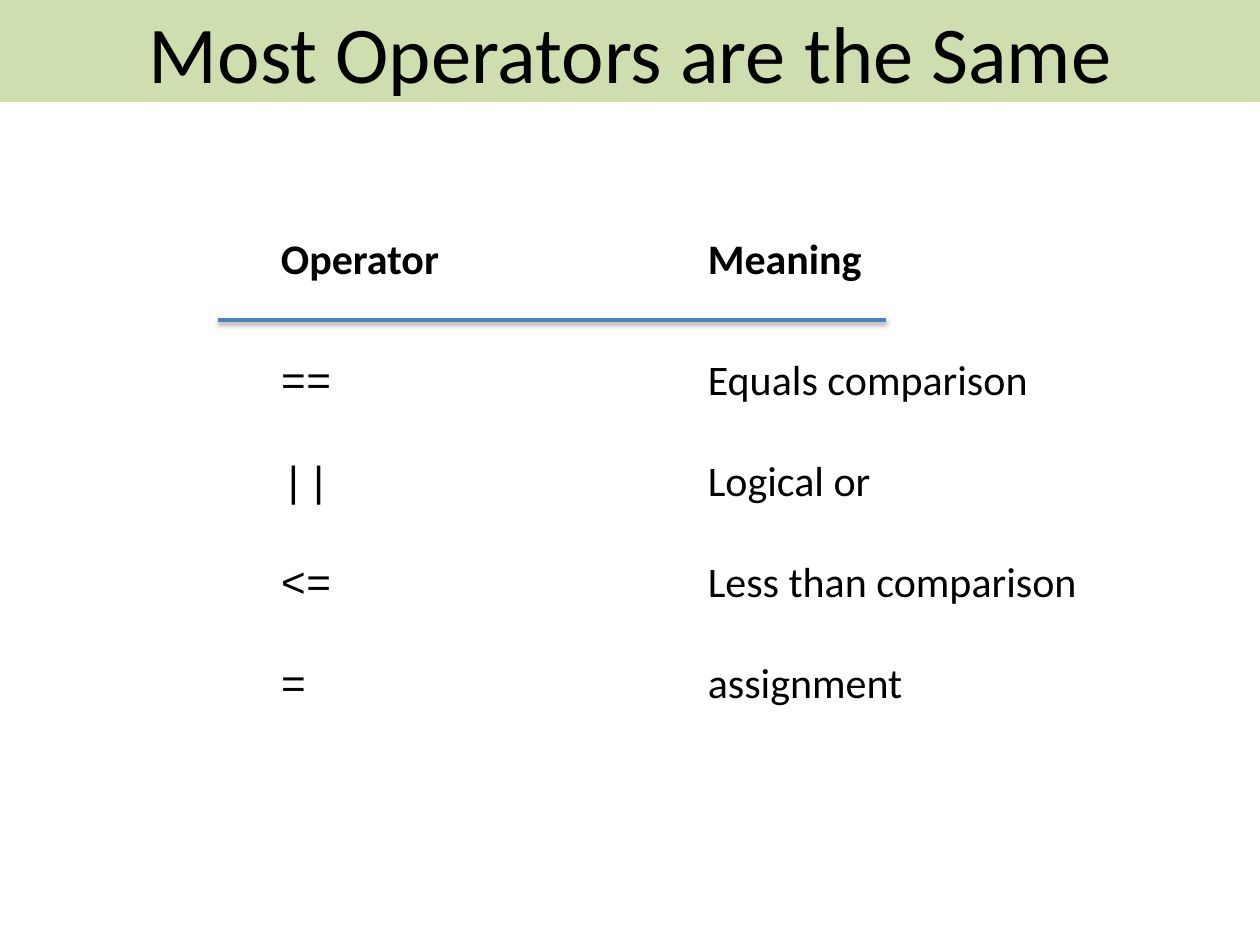
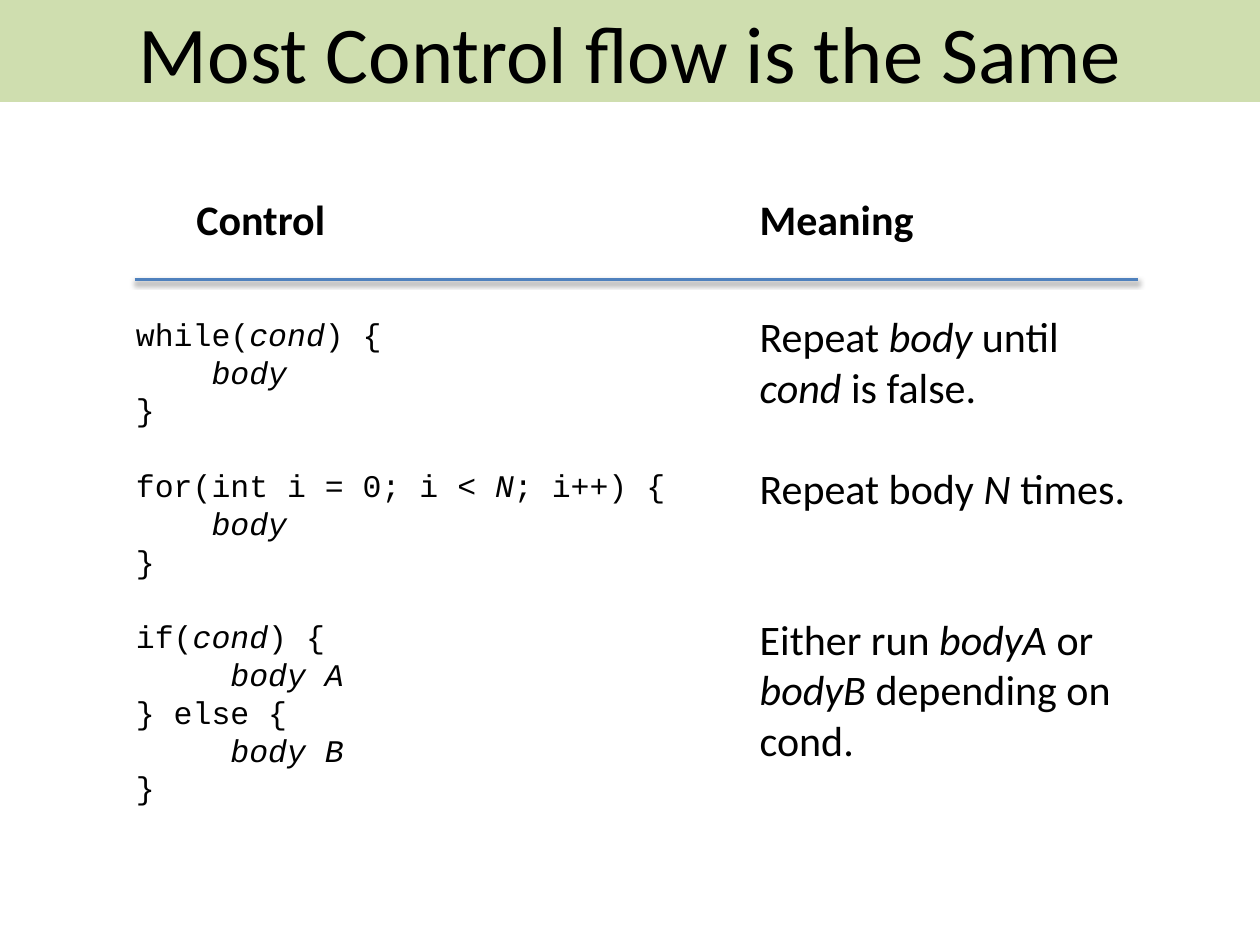
"""Build two slides comparing operators and control flow that stay the same."""
from lxml.etree import SubElement
from pptx import Presentation
from pptx.dml.color import RGBColor
from pptx.enum.shapes import MSO_CONNECTOR as Line, MSO_SHAPE as Shape
from pptx.enum.text import MSO_ANCHOR as Anchor, PP_ALIGN as Align
from pptx.oxml.ns import qn
from pptx.util import Pt

COLOURS = {"band": "C3D69B", "rule": "4F81BD", "ink": "000000"}
SLIDE_SIZE = (720, 540)
BAND_HEIGHT = 58.3
LEADING = 1.2
ROW_HEIGHT = 36
HEADING = {"name": "Calibri", "size": Pt(24), "bold": True}
PROSE = {"name": "Calibri", "size": Pt(24)}
SYMBOL = {"name": "Courier New", "size": Pt(24)}
CODE = {"name": "Courier New", "size": Pt(18)}
TITLE = {"name": "Calibri", "size": Pt(46)}

# Asterisks enclose italics; each block is (blank lines above, text).
SLIDES = [
    {
        "title": "Most Operators are the Same",
        "heading_top": 129.6,
        "rule": (124.6, 506.2, 182.9),
        "columns": [
            {"heading": ("Operator", 153.4, 106.6), "format": SYMBOL,
             "box": (153.4, 198.7, 43.9, 211), "wrap": False,
             "blocks": [(0, "=="), (1, "||"), (1, "<="), (1, "=")]},
            {"heading": ("Meaning", 397.4, 103.7), "format": PROSE,
             "box": (397.4, 198.7, 227.5, 211), "wrap": False,
             "blocks": [(0, "Equals comparison"), (1, "Logical or"),
                        (1, "Less than comparison"), (1, "assignment")]},
        ],
    },
    {
        "title": "Most Control flow is the Same",
        "heading_top": 107.3,
        "rule": (77, 650.2, 159.8),
        "columns": [
            {"heading": ("Control", 105.1, 89.3), "format": CODE,
             "box": (70.6, 176.4, 319.7, 312.5), "wrap": False,
             "blocks": [
                 (0, "while(*cond*) {\n    *body*\n}"),
                 (1, "for(int i = 0; i < *N*; i++) {\n    *body*\n}"),
                 (1, "if(*cond*) {\n    * body A*\n} else {\n     *body B*\n}")]},
            {"heading": ("Meaning", 427, 103.7), "format": PROSE,
             "box": (427, 174.2, 259.9, 269.3), "wrap": True,
             "blocks": [
                 (0, "Repeat *body* until\n*cond* is false."),
                 (1, "Repeat body *N* times."),
                 (2, "Either run *bodyA* or *bodyB* depending on cond.")]},
        ],
    },
]


def colour(name):
    return RGBColor.from_string(COLOURS[name])


def points(values):
    return [Pt(value) for value in values]


def write(frame, blocks, font_format, align=Align.LEFT):
    leading = font_format["size"].pt * LEADING
    lines = [(blanks if index == 0 else 0, line)
             for blanks, block in blocks
             for index, line in enumerate(block.split("\n"))]
    for index, (blanks, line) in enumerate(lines):
        paragraph = frame.add_paragraph() if index else frame.paragraphs[0]
        paragraph.alignment = align
        paragraph.line_spacing = Pt(leading)
        if blanks:
            paragraph.space_before = Pt(blanks * leading)
        for part, words in enumerate(line.split("*")):
            if not words:
                continue
            run = paragraph.add_run()
            run.text = words
            for key, value in font_format.items():
                setattr(run.font, key, value)
            run.font.italic = part % 2 == 1
            run.font.color.rgb = colour("ink")


def add_text(slide, box, blocks, font_format, wrap=False):
    frame = slide.shapes.add_textbox(*points(box)).text_frame
    frame.word_wrap = wrap
    write(frame, blocks, font_format)


def add_band(slide, title):
    band = slide.shapes.add_shape(Shape.RECTANGLE, *points((0, 0, SLIDE_SIZE[0], BAND_HEIGHT)))
    band.shadow.inherit = False
    band.fill.solid()
    band.fill.fore_color.rgb = colour("band")
    band.line.fill.background()
    tint = band.fill._xPr.find(qn("a:solidFill"))[0]
    SubElement(tint, qn("a:alpha"), val="80000")
    band.text_frame.vertical_anchor = Anchor.MIDDLE
    write(band.text_frame, [(0, title)], TITLE, Align.CENTER)


def add_rule(slide, left, right, y):
    rule = slide.shapes.add_connector(Line.STRAIGHT, *points((left, y, right, y)))
    rule.line.color.rgb = colour("rule")
    rule.line.width = Pt(2)
    effects = SubElement(rule._element.spPr, qn("a:effectLst"))
    shadow = SubElement(effects, qn("a:outerShdw"), blurRad=str(Pt(3.1)),
                        dist=str(Pt(1.6)), dir="5400000", rotWithShape="0")
    shade = SubElement(shadow, qn("a:srgbClr"), val=COLOURS["ink"])
    SubElement(shade, qn("a:alpha"), val="38000")


def main():
    deck = Presentation()
    deck.slide_width, deck.slide_height = points(SLIDE_SIZE)
    for content in SLIDES:
        slide = deck.slides.add_slide(deck.slide_layouts[6])
        add_band(slide, content["title"])
        for column in content["columns"]:
            add_text(slide, column["box"], column["blocks"], column["format"], column["wrap"])
            heading, left, width = column["heading"]
            add_text(slide, (left, content["heading_top"], width, ROW_HEIGHT),
                     [(0, heading)], HEADING)
        add_rule(slide, *content["rule"])
    deck.save("out.pptx")


if __name__ == "__main__":
    main()
